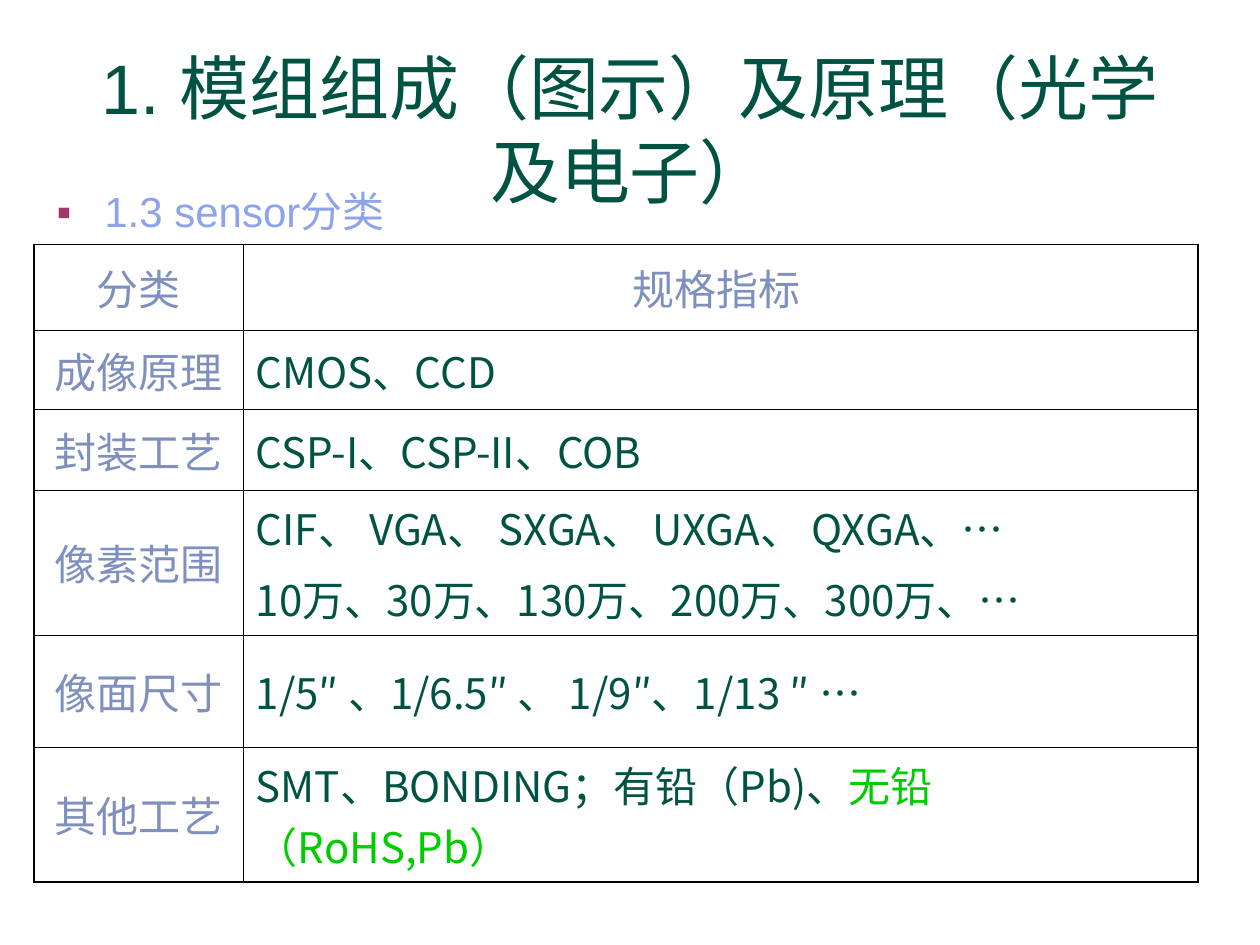
from dataclasses import dataclass

from lxml import etree
from pptx import Presentation
from pptx.dml.color import RGBColor
from pptx.enum.text import MSO_ANCHOR, MSO_AUTO_SIZE, PP_ALIGN
from pptx.oxml.ns import qn
from pptx.util import Inches, Pt

TOP, MIDDLE = MSO_ANCHOR.TOP, MSO_ANCHOR.MIDDLE
LEFT, CENTER = PP_ALIGN.LEFT, PP_ALIGN.CENTER
NO_FIT = MSO_AUTO_SIZE.NONE
TITLE_ONLY = 5


@dataclass(frozen=True)
class Theme:
    green: str = "005343"
    label: str = "7F90BE"
    heading: str = "8EA4EA"
    bright: str = "00CC00"
    bullet: str = "A2366C"
    border: str = "000000"
    latin: str = "Arial"
    chinese: str = "Noto Sans CJK SC"
    title_size: float = 40
    body_size: float = 24
    outer_line: float = 1.08
    inner_line: float = 0.45


THEME = Theme()


@dataclass(frozen=True)
class Piece:
    text: str
    color: str = THEME.green


@dataclass(frozen=True)
class Row:
    label: str
    height: float
    lines: tuple[tuple[Piece, ...], ...]


COLUMN_WIDTHS = (1.66, 7.58)
HEADER = Row("分类", 0.68, ((Piece("规格指标 ", THEME.label),),))
ROWS = (
    HEADER,
    Row("成像原理", 0.63, ((Piece("CMOS、CCD"),),)),
    Row("封装工艺", 0.64, ((Piece("CSP-I、CSP-II、COB"),),)),
    Row("像素范围", 0.99, (
        (Piece("CIF、 VGA、 SXGA、 UXGA、 QXGA、…"),),
        (Piece("10万、30万、130万、200万、300万、…"),),
    )),
    Row("像面尺寸", 0.89, ((Piece("1/5″ 、1/6.5″ 、 1/9″、1/13 ″ …"),),)),
    Row("其他工艺", 0.9, (
        (Piece("SMT、BONDING；有铅（Pb)、"), Piece("无铅（RoHS,Pb）", THEME.bright)),
    )),
)


def add_span(para, text: str, *, color: str, size: float = THEME.body_size,
             font: str = THEME.chinese) -> None:
    span = para.add_run()
    span.text = text
    span.font.size = Pt(size)
    span.font.name = font
    span.font.color.rgb = RGBColor.from_string(color)
    east_asian = etree.SubElement(span.font._element, qn("a:ea"))
    east_asian.set("typeface", THEME.chinese)


def add_bullet(para, *, mark: str, color: str, indent: float) -> None:
    properties = para._p.get_or_add_pPr()
    properties.set("marL", str(Inches(indent)))
    properties.set("indent", str(-Inches(indent)))
    bullet_color = etree.SubElement(properties, qn("a:buClr"))
    etree.SubElement(bullet_color, qn("a:srgbClr")).set("val", color)
    etree.SubElement(properties, qn("a:buFont")).set("typeface", THEME.latin)
    etree.SubElement(properties, qn("a:buChar")).set("char", mark)


def set_frame(frame) -> None:
    frame.word_wrap = True
    frame.auto_size = NO_FIT
    frame.vertical_anchor = TOP


def set_borders(cell, widths: dict[str, float]) -> None:
    properties = cell._tc.get_or_add_tcPr()
    for position, (side, width) in enumerate(widths.items()):
        line = etree.Element(qn(f"a:{side}"), w=str(Pt(width)))
        fill = etree.SubElement(line, qn("a:solidFill"))
        etree.SubElement(fill, qn("a:srgbClr")).set("val", THEME.border)
        properties.insert(position, line)


def fill_cell(cell, lines: tuple[tuple[Piece, ...], ...], align) -> None:
    cell.vertical_anchor = MIDDLE
    cell.fill.background()
    frame = cell.text_frame
    for index, pieces in enumerate(lines):
        para = frame.add_paragraph() if index else frame.paragraphs[0]
        para.alignment = align
        if index:
            para.space_before = Pt(6)
        for piece in pieces:
            add_span(para, piece.text, color=piece.color)


def add_title(page) -> None:
    title = page.shapes.title
    title.left, title.top = Inches(0.5), Inches(0.3)
    title.width, title.height = Inches(9), Inches(1.25)
    set_frame(title.text_frame)
    para = title.text_frame.paragraphs[0]
    para.alignment = CENTER
    add_span(para, "1. 模组组成（图示）及原理（光学及电子）", color=THEME.green,
             size=THEME.title_size, font=THEME.latin)


def add_heading(page) -> None:
    box = page.shapes.add_textbox(Inches(0.35), Inches(1.47), Inches(6.72), Inches(0.49))
    set_frame(box.text_frame)
    para = box.text_frame.paragraphs[0]
    para.line_spacing = 0.9
    add_bullet(para, mark="▪", color=THEME.bullet, indent=0.38)
    add_span(para, "1.3 sensor分类", color=THEME.heading, font=THEME.latin)


def add_specifications(page) -> None:
    table = page.shapes.add_table(
        len(ROWS), len(COLUMN_WIDTHS), Inches(0.27), Inches(1.94),
        Inches(sum(COLUMN_WIDTHS)), Inches(sum(row.height for row in ROWS))).table
    table.first_row = table.horz_banding = False
    for column, width in zip(table.columns, COLUMN_WIDTHS):
        column.width = Inches(width)

    last_row, last_column = len(ROWS) - 1, len(COLUMN_WIDTHS) - 1
    for r, row in enumerate(ROWS):
        table.rows[r].height = Inches(row.height)
        fill_cell(table.cell(r, 0), ((Piece(row.label, THEME.label),),), CENTER)
        fill_cell(table.cell(r, 1), row.lines, CENTER if row is HEADER else LEFT)
        # Heavier lines around the outside of the table
        for c in range(len(COLUMN_WIDTHS)):
            outside = {"lnL": c == 0, "lnR": c == last_column,
                       "lnT": r == 0, "lnB": r == last_row}
            set_borders(table.cell(r, c), {
                side: THEME.outer_line if outer else THEME.inner_line
                for side, outer in outside.items()})


def main() -> None:
    deck = Presentation()
    deck.slide_width, deck.slide_height = Inches(10), Inches(7.5)
    page = deck.slides.add_slide(deck.slide_layouts[TITLE_ONLY])
    add_title(page)
    add_heading(page)
    add_specifications(page)
    deck.save("out.pptx")


if __name__ == "__main__":
    main()
